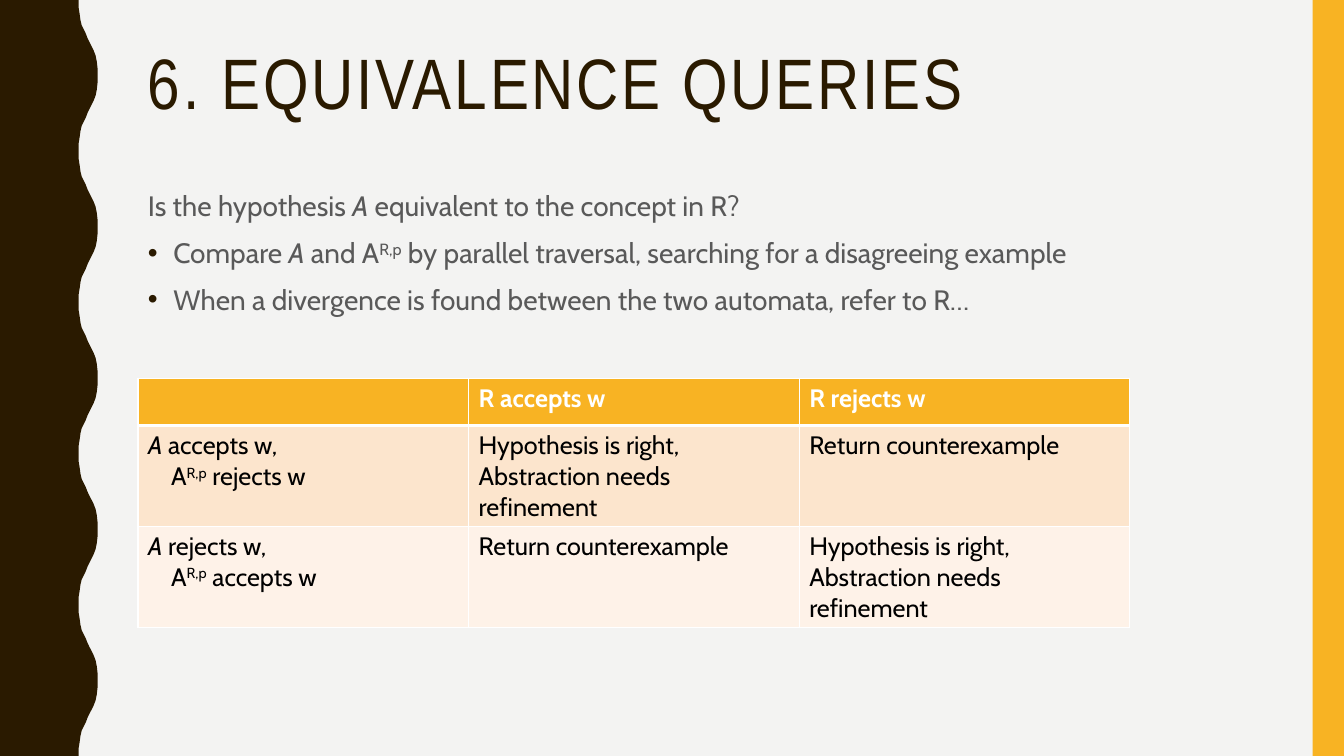
import lxml.etree
import pptx
import pptx.dml.color
import pptx.enum.shapes
import pptx.oxml
import pptx.oxml.ns
import pptx.util
from pptx.util import Cm

DARK, GOLD, GREY, WHITE, BLACK = "2A1A00", "F8B323", "595959", "FFFFFF", "000000"
SLIDE_WIDTH, SLIDE_HEIGHT = 33.87, 19.05
WAVE_PERIOD = 3.81
# Half a wave from trough to crest: (distance down, distance from the left), in cm
HALF_WAVE = [(0, 1.98), (0.18, 1.98), (0.36, 2.01), (0.51, 2.03), (0.64, 2.06),
             (0.74, 2.11), (0.84, 2.16), (0.97, 2.21), (1.07, 2.26), (1.17, 2.31),
             (1.27, 2.36), (1.4, 2.41), (1.55, 2.44), (1.73, 2.46), (1.91, 2.46)]


def rgb(value):
    return pptx.dml.color.RGBColor.from_string(value)


def add_child(parent, tag, **attributes):
    child = lxml.etree.SubElement(parent, pptx.oxml.ns.qn(tag))
    for key, value in attributes.items():
        child.set(key, str(value))
    return child


def paint(shape, color):
    shape.shadow.inherit = False
    shape.fill.solid()
    shape.fill.fore_color.rgb = rgb(color)
    shape.line.fill.background()


def add_bullet(paragraph, color, indent):
    properties = paragraph._p.get_or_add_pPr()
    properties.set("marL", str(Cm(indent)))
    properties.set("indent", str(-Cm(indent)))
    add_child(add_child(properties, "a:buClr"), "a:srgbClr", val=color)
    add_child(properties, "a:buFont", typeface="Arial")
    add_child(properties, "a:buChar", char="•")


def write(paragraph, text, size=18, color=BLACK, font="Cabin", bold=False,
          tracking=None, line_spacing=None, space_before=None, bullet=None, indent=0):
    """Fill a paragraph; *stars* mark italics and ^carets^ mark superscript."""
    paragraph.line_spacing = line_spacing
    if space_before is not None:
        paragraph.space_before = pptx.util.Pt(space_before)
    if bullet:
        add_bullet(paragraph, bullet, indent)
    elif indent:
        paragraph._p.get_or_add_pPr().set("marL", str(Cm(indent)))
    for i, italic_part in enumerate(text.split("*")):
        for j, part in enumerate(italic_part.split("^")):
            if not part:
                continue
            run = paragraph.add_run()
            run.text = part
            run.font.name = font
            run.font.size = pptx.util.Pt(size)
            run.font.bold = bold
            run.font.italic = i % 2 == 1
            run.font.color.rgb = rgb(color)
            if j % 2:
                run._r.get_or_add_rPr().set("baseline", "30000")
            if tracking:
                run._r.get_or_add_rPr().set("spc", str(tracking))


def write_lines(frame, lines):
    """Write (text, format) pairs as successive paragraphs."""
    for index, (text, style) in enumerate(lines):
        paragraph = frame.add_paragraph() if index else frame.paragraphs[0]
        write(paragraph, text, **style)


def add_text(slide, left, top, width, height, lines):
    frame = slide.shapes.add_textbox(Cm(left), Cm(top), Cm(width), Cm(height)).text_frame
    frame.word_wrap = True
    write_lines(frame, lines)


def add_wavy_edge(slide):
    wave = HALF_WAVE + [(WAVE_PERIOD - y, x) for y, x in reversed(HALF_WAVE[:-1])]
    edge = [(Cm(x), Cm(y + period * WAVE_PERIOD)) for period in range(5) for y, x in wave]
    outline = slide.shapes.build_freeform(0, 0)
    outline.add_line_segments(edge + [(0, Cm(SLIDE_HEIGHT))], close=True)
    paint(outline.convert_to_shape(), DARK)


def add_side_bar(slide):
    width = 0.79
    bar = slide.shapes.add_shape(pptx.enum.shapes.MSO_SHAPE.RECTANGLE,
                                 Cm(SLIDE_WIDTH - width), 0, Cm(width), Cm(SLIDE_HEIGHT))
    paint(bar, GOLD)


def add_borders(cell, bottom_width):
    properties = cell._tc.get_or_add_tcPr()
    widths = {"a:lnL": 1, "a:lnR": 1, "a:lnT": 1, "a:lnB": bottom_width}
    for position, (tag, width) in enumerate(widths.items()):
        border = add_child(properties, tag, w=pptx.util.Pt(width))
        add_child(add_child(border, "a:solidFill"), "a:srgbClr", val=WHITE)
        properties.insert(position, border)


def add_outcome_table(slide, left, top, column_width, row_heights, fills, rows):
    table = slide.shapes.add_table(len(rows), len(rows[0]), Cm(left), Cm(top),
                                   Cm(column_width * len(rows[0])),
                                   Cm(sum(row_heights))).table
    for column in table.columns:
        column.width = Cm(column_width)
    for r, (height, fill, texts) in enumerate(zip(row_heights, fills, rows)):
        table.rows[r].height = Cm(height)
        for c, lines in enumerate(texts):
            cell = table.cell(r, c)
            cell.fill.solid()
            cell.fill.fore_color.rgb = rgb(fill)
            add_borders(cell, 1 if r else 3)
            write_lines(cell.text_frame, lines)


def main():
    deck = pptx.Presentation()
    deck.slide_width, deck.slide_height = Cm(SLIDE_WIDTH), Cm(SLIDE_HEIGHT)
    slide = deck.slides.add_slide(deck.slide_layouts[6])
    slide.background.fill.solid()
    slide.background.fill.fore_color.rgb = rgb("F3F3F2")
    add_wavy_edge(slide)
    add_side_bar(slide)

    title = dict(size=51, color=DARK, font="Arial Narrow", tracking=200, line_spacing=0.9)
    add_text(slide, 3.48, 1.07, 28.27, 4.14, [("6. EQUIVALENCE QUERIES", title)])

    body = dict(size=20, color=GREY, line_spacing=1.1, space_before=7)
    point = dict(body, bullet=DARK, indent=0.64)
    add_text(slide, 3.48, 4.55, 28.27, 4.98, [
        ("Is the hypothesis *A* equivalent to the concept in R?", body),
        ("Compare *A* and A^R,p^ by parallel traversal, searching for a disagreeing example",
         point),
        ("When a divergence is found between the two automata, refer to R…", point),
    ])

    header = dict(bold=True, color=WHITE)
    refine = [("Hypothesis is right,", {}), ("Abstraction needs refinement", {})]
    counterexample = [("Return counterexample", {})]
    indented = dict(indent=0.58)
    add_outcome_table(
        slide, 3.48, 9.53, 8.33, [1.19, 2.51, 2.51], [GOLD, "FCE5CD", "FEF2E8"],
        [[[], [("R accepts w", header)], [("R rejects w", header)]],
         [[("*A* accepts w,", {}), ("A^R,p^ rejects w", indented)], refine, counterexample],
         [[("*A* rejects w,", {}), ("A^R,p^ accepts w", indented)], counterexample, refine]])
    deck.save("out.pptx")


if __name__ == "__main__":
    main()
